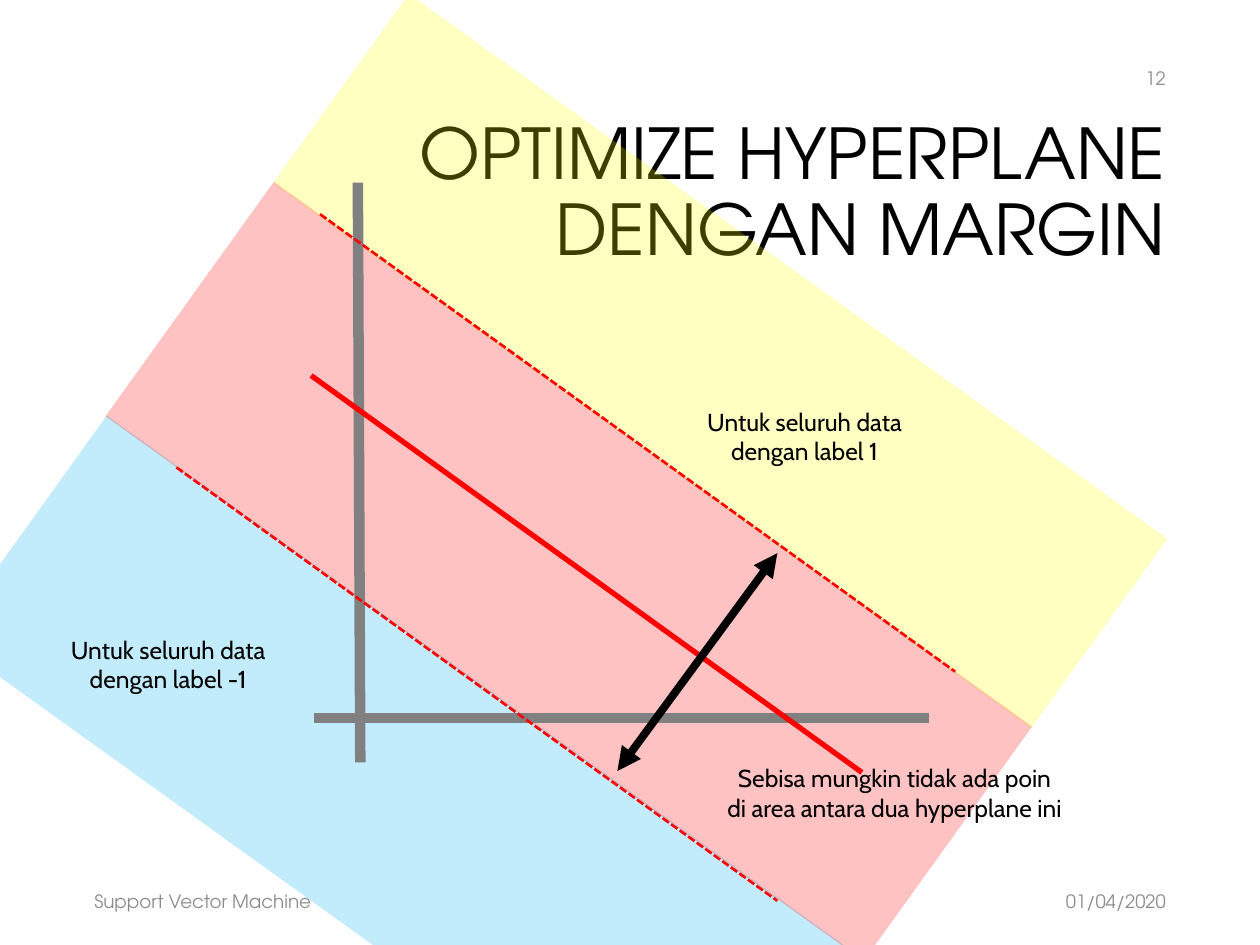
from lxml.etree import SubElement
from pptx import Presentation
from pptx.dml.color import RGBColor
from pptx.enum.dml import MSO_LINE
from pptx.enum.shapes import MSO_CONNECTOR, MSO_SHAPE
from pptx.enum.text import MSO_ANCHOR, MSO_AUTO_SIZE, PP_ALIGN
from pptx.oxml.ns import qn
from pptx.util import Pt

HEADING_FONT = "TeX Gyre Adventor"
LABEL_FONT = "Cabin"
BAND_LENGTH = 533.5
BAND_ROTATION = 305.7
BAND_ALPHA = 24


def color(value):
    """Turn a hex string into a colour."""
    return RGBColor.from_string(value)


def style_paragraph(para, font_name, size, hex_color, align):
    """Set the font and alignment of a paragraph."""
    para.alignment = align
    para.font.name = font_name
    para.font.size = Pt(size)
    para.font.color.rgb = color(hex_color)


def set_title(page, text, left, top, width, height):
    """Fill and place the title placeholder."""
    title = page.shapes.title
    title.left, title.top = Pt(left), Pt(top)
    title.width, title.height = Pt(width), Pt(height)
    frame = title.text_frame
    frame.text = text
    frame.word_wrap = True
    frame.auto_size = MSO_AUTO_SIZE.NONE
    frame.vertical_anchor = MSO_ANCHOR.MIDDLE
    para = frame.paragraphs[0]
    para.line_spacing = 0.9
    style_paragraph(para, HEADING_FONT, 40, "000000", PP_ALIGN.RIGHT)


def add_page_note(page, text, left, top, width, align):
    """Add a small grey header or footer text."""
    box = page.shapes.add_textbox(Pt(left), Pt(top), Pt(width), Pt(28.8))
    frame = box.text_frame
    frame.text = text
    frame.word_wrap = True
    frame.vertical_anchor = MSO_ANCHOR.MIDDLE
    style_paragraph(frame.paragraphs[0], HEADING_FONT, 10.5, "8C8C8C", align)


def add_label(page, lines, left, top, width):
    """Add a centred label with one paragraph per line."""
    box = page.shapes.add_textbox(Pt(left), Pt(top), Pt(width), Pt(41))
    frame = box.text_frame
    frame.text = "\n".join(lines)
    frame.word_wrap = False
    frame.auto_size = MSO_AUTO_SIZE.SHAPE_TO_FIT_TEXT
    for para in frame.paragraphs:
        style_paragraph(para, LABEL_FONT, 14, "000000", PP_ALIGN.CENTER)


def add_band(page, left, top, width, hex_color):
    """Add a rotated translucent region."""
    band = page.shapes.add_shape(
        MSO_SHAPE.RECTANGLE, Pt(left), Pt(top), Pt(width), Pt(BAND_LENGTH))
    band.rotation = BAND_ROTATION
    band.shadow.inherit = False
    band.line.fill.background()
    band.fill.solid()
    band.fill.fore_color.rgb = color(hex_color)
    tint = band.fill._xPr.find(qn("a:solidFill"))[0]
    SubElement(tint, qn("a:alpha"), val=str(BAND_ALPHA * 1000))


def add_line(page, start, end, hex_color, width, dash=None, arrows=False):
    """Add a straight line, optionally dashed or with arrowheads."""
    line = page.shapes.add_connector(
        MSO_CONNECTOR.STRAIGHT, *(Pt(value) for value in start + end))
    line.line.color.rgb = color(hex_color)
    line.line.width = Pt(width)
    if dash:
        line.line.dash_style = dash
    properties = line._element.spPr
    if arrows:
        outline = properties.find(qn("a:ln"))
        for tag in ("a:headEnd", "a:tailEnd"):
            SubElement(outline, qn(tag), type="triangle")
    SubElement(properties, qn("a:effectLst"))


def main():
    """Build the hyperplane margin slide."""
    deck = Presentation()
    deck.slide_width, deck.slide_height = Pt(720), Pt(540)
    page = deck.slides.add_slide(deck.slide_layouts[5])

    set_title(page, "OPTIMIZE HYPERPLANE DENGAN MARGIN", 171.4, 60.5, 501.8, 101.5)
    add_page_note(page, "01/04/2020", 504.7, 500.4, 168.5, PP_ALIGN.RIGHT)
    add_page_note(page, "Support Vector Machine", 46.8, 500.4, 447.1, PP_ALIGN.LEFT)
    add_page_note(page, "12", 517.7, 30.2, 155.5, PP_ALIGN.RIGHT)

    add_band(page, 153.4, 190.1, 157, "00B0F0")
    add_band(page, 344.9, -60.5, 133.2, "FFFF00")
    add_band(page, 242.6, 59.8, 164.9, "FF0000")

    add_line(page, (204.5, 104.4), (205.9, 435.6), "808080", 6)
    add_line(page, (179.3, 410.4), (530.6, 410.4), "808080", 6)
    add_line(page, (177.8, 214.6), (492.5, 441.4), "FF0000", 3)
    for start, end in (
        ((182.9, 122.4), (545.8, 383.8)),
        ((100.8, 267.1), (444.2, 514.8)),
    ):
        add_line(page, start, end, "FF0000", 1.5, dash=MSO_LINE.SQUARE_DOT)

    add_label(
        page,
        ("Sebisa mungkin tidak ada poin", "di area antara dua hyperplane ini"),
        403.9, 432.7, 214.6)
    for label, left, top in (("1", 394.6, 229), ("-1", 31, 359.3)):
        add_label(
            page, ("Untuk seluruh data", f"dengan label {label}"), left, top, 130.3)
    add_line(page, (444.2, 316.1), (352.8, 440.6), "000000", 4.5, arrows=True)

    deck.save("out.pptx")


if __name__ == "__main__":
    main()
